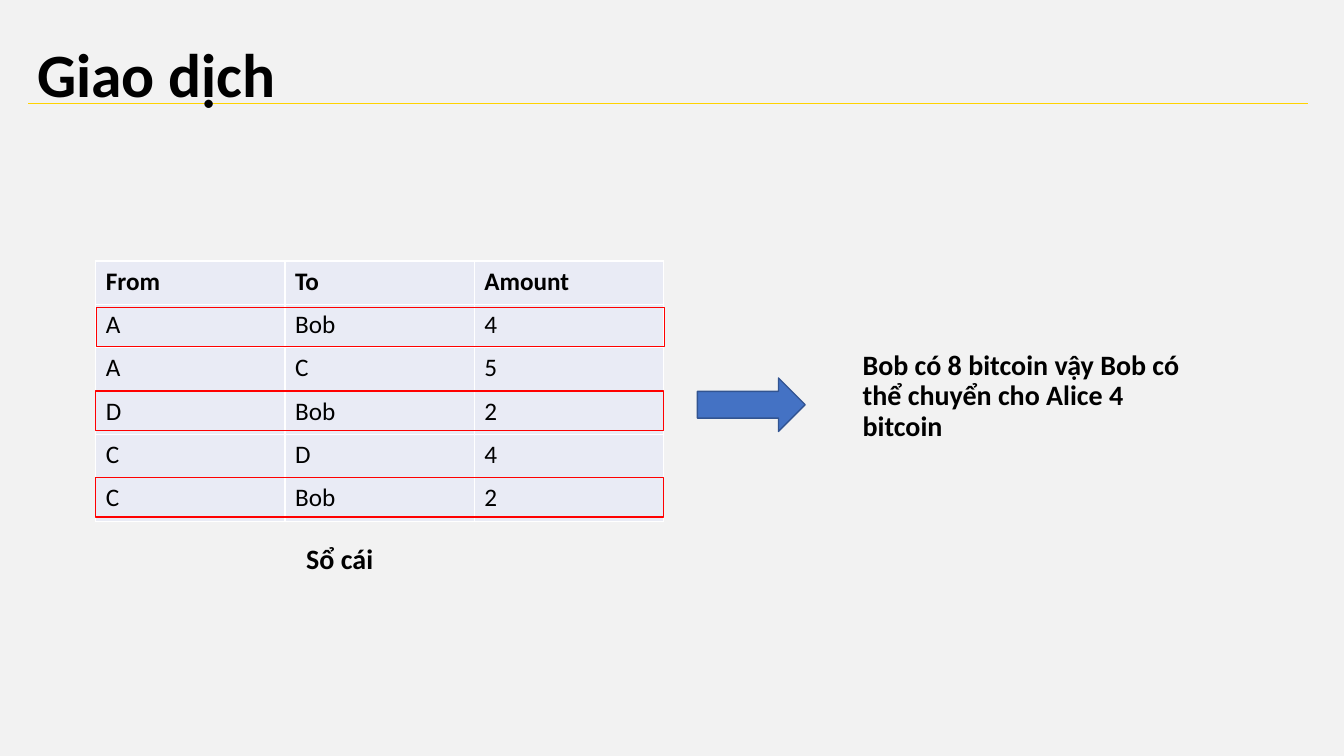
from dataclasses import dataclass
from typing import Any

from lxml.etree import SubElement
from pptx import Presentation
from pptx.dml.color import RGBColor
from pptx.enum.shapes import MSO_CONNECTOR as Connector, MSO_SHAPE as Preset
from pptx.enum.text import MSO_ANCHOR as Anchor
from pptx.oxml import parse_xml
from pptx.oxml.ns import nsdecls, qn
from pptx.util import Pt

COLORS = {
    "background": "F2F2F2", "rule": "FFD300", "text": "000000",
    "cell": "E9EBF5", "border": "FFFFFF", "highlight": "FF0000",
    "arrow": "4472C4", "arrow_line": "325491",
}
FONT = "Calibri"
LEDGER = [
    ("From", "To", "Amount"),
    ("A", "Bob", "4"),
    ("A", "C", "5"),
    ("D", "Bob", "2"),
    ("C", "D", "4"),
    ("C", "Bob", "2"),
]
TABLE_LEFT, TABLE_TOP = 68.4, 186.5
COLUMN_WIDTH, ROW_HEIGHT = 135.2, 30.96
TABLE_WIDTH = COLUMN_WIDTH * len(LEDGER[0])
HIGHLIGHT_HEIGHT = 28


@dataclass(frozen=True)
class Box:
    """Position and size in points."""
    left: float
    top: float
    width: float
    height: float

    def lengths(self) -> tuple:
        """Return the four lengths for python-pptx."""
        return tuple(Pt(v) for v in (self.left, self.top, self.width, self.height))


@dataclass(frozen=True)
class Label:
    """A bold, vertically centred text."""
    text: str
    box: Box
    size: float


@dataclass(frozen=True)
class Figure:
    """A preset shape with an outline and an optional fill."""
    preset: Any
    box: Box
    line: str
    fill: str | None = None


def color(name: str) -> RGBColor:
    """Look up a named colour."""
    return RGBColor.from_string(COLORS[name])


def set_attributes(target: Any, values: dict) -> None:
    """Set each format value on the target."""
    for name, value in values.items():
        setattr(target, name, value)


def write_text(frame: Any, text: str, size: float, bold: bool) -> None:
    """Fill a text frame with one formatted run."""
    run = frame.paragraphs[0].add_run()
    run.text = text
    set_attributes(run.font, {"name": FONT, "size": Pt(size), "bold": bold})
    run.font.color.rgb = color("text")


def add_label(slide: Any, label: Label) -> None:
    """Draw a text box."""
    frame = slide.shapes.add_textbox(*label.box.lengths()).text_frame
    set_attributes(frame, {"word_wrap": True, "vertical_anchor": Anchor.MIDDLE})
    write_text(frame, label.text, label.size, True)
    frame.paragraphs[0].line_spacing = 0.9


def add_figure(slide: Any, figure: Figure) -> None:
    """Draw a preset shape without shadow."""
    shape = slide.shapes.add_shape(figure.preset, *figure.box.lengths())
    shape.shadow.inherit = False
    shape.line.color.rgb = color(figure.line)
    shape.line.width = Pt(1)
    if figure.fill:
        shape.fill.solid()
        shape.fill.fore_color.rgb = color(figure.fill)
    else:
        shape.fill.background()


def add_rule(slide: Any, left: float, right: float, top: float) -> None:
    """Draw the thin line under the title."""
    rule = slide.shapes.add_connector(
        Connector.STRAIGHT, Pt(left), Pt(top), Pt(right), Pt(top))
    rule.line.color.rgb = color("rule")
    rule.line.width = Pt(0.5)
    SubElement(rule._element.spPr, qn("a:effectLst"))


def format_cell(cell: Any) -> None:
    """Give a cell its fill and four borders."""
    cell.fill.solid()
    cell.fill.fore_color.rgb = color("cell")
    properties = cell._tc.get_or_add_tcPr()
    for position, side in enumerate("LRTB"):
        properties.insert(position, parse_xml(
            f'<a:ln{side} {nsdecls("a")} w="{Pt(1)}"><a:solidFill>'
            f'<a:srgbClr val="{COLORS["border"]}"/></a:solidFill></a:ln{side}>'))


def add_ledger(slide: Any) -> None:
    """Draw the table of transactions."""
    box = Box(TABLE_LEFT, TABLE_TOP, TABLE_WIDTH, ROW_HEIGHT * len(LEDGER))
    table = slide.shapes.add_table(
        len(LEDGER), len(LEDGER[0]), *box.lengths()).table
    set_attributes(table, {"first_row": False, "horz_banding": False})
    for column in table.columns:
        column.width = Pt(COLUMN_WIDTH)
    for row_index, values in enumerate(LEDGER):
        table.rows[row_index].height = Pt(ROW_HEIGHT)
        for column_index, value in enumerate(values):
            cell = table.cell(row_index, column_index)
            format_cell(cell)
            write_text(cell.text_frame, value, 18, row_index == 0)


def row_highlight(row: int, shift_x: float = 0, shift_y: float = 0) -> Figure:
    """Return the red frame around a ledger row."""
    top = TABLE_TOP + row * ROW_HEIGHT + shift_y
    box = Box(TABLE_LEFT + shift_x, top, TABLE_WIDTH, HIGHLIGHT_HEIGHT)
    return Figure(Preset.RECTANGLE, box, "highlight")


LABELS = [
    Label("Giao dịch", Box(19.4, 0, 828, 110.9), 44),
    Label("Sổ cái", Box(211.7, 372.2, 69.8, 56.9), 20),
    Label("Bob có 8 bitcoin vậy Bob có thể chuyển cho Alice 4 bitcoin",
          Box(609.1, 233.3, 259.2, 100.1), 20),
]
FIGURES = [
    row_highlight(1, 0.7, 2.2),
    row_highlight(3),
    row_highlight(5),
    Figure(Preset.RIGHT_ARROW, Box(498.2, 270, 77, 38.2), "arrow_line", "arrow"),
]


def main() -> None:
    """Build and save the slide."""
    presentation = Presentation()
    set_attributes(presentation, {"slide_width": Pt(960), "slide_height": Pt(540)})
    slide = presentation.slides.add_slide(presentation.slide_layouts[6])
    slide.background.fill.solid()
    slide.background.fill.fore_color.rgb = color("background")
    add_rule(slide, 20.2, 934.6, 74.2)
    add_ledger(slide)
    for label in LABELS:
        add_label(slide, label)
    for figure in FIGURES:
        add_figure(slide, figure)
    presentation.save("out.pptx")


main()
